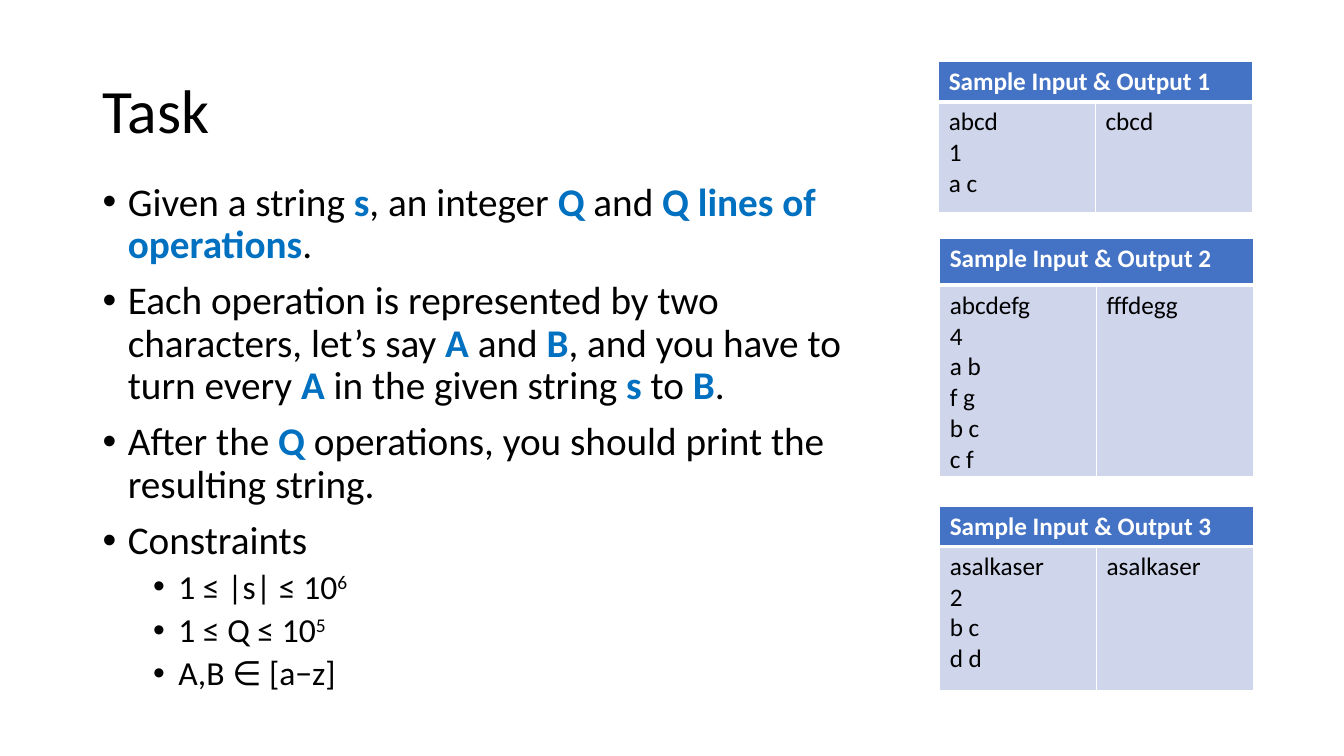
from lxml import etree
from pptx import Presentation
from pptx.dml.color import RGBColor
from pptx.enum import text
from pptx.oxml import ns
from pptx.util import Inches, Pt

FONT = "Calibri"
COLORS = {
    "ink": "000000",
    "keyword": "0070C0",
    "header": "4472C4",
    "body": "CFD5EA",
    "white": "FFFFFF",
}
STATEMENTS = [
    "Given a string *s*, an integer *Q* and *Q lines of operations*.",
    "Each operation is represented by two characters, let’s say *A* and *B*, "
    "and you have to turn every *A* in the given string *s* to *B*.",
    "After the *Q* operations, you should print the resulting string.",
    "Constraints",
]
CONSTRAINTS = ["1 ≤ |s| ≤ 10^6", "1 ≤ Q ≤ 10^5", "A,B ∈ [a−z]"]
SAMPLES = [
    (9.31, 0.61, 0.4, 1.1, "abcd\n1\na c", "cbcd"),
    (9.32, 2.37, 0.46, 1.9, "abcdefg\n4\na b\nf g\nb c\nc f", "fffdegg"),
    (9.32, 5.02, 0.4, 1.43, "asalkaser\n2\nb c\nd d", "asalkaser"),
]


def rgb(name):
    return RGBColor.from_string(COLORS[name])


def style_run(run, size, color="ink", bold=False):
    run.font.name = FONT
    run.font.size = Pt(size)
    run.font.bold = bold
    run.font.color.rgb = rgb(color)


def add_text_frame(slide, left, top, width, height):
    box = slide.shapes.add_textbox(*map(Inches, (left, top, width, height)))
    box.text_frame.word_wrap = True
    return box.text_frame


def add_title(slide, title):
    frame = add_text_frame(slide, 0.92, 0.4, 11.5, 1.45)
    frame.vertical_anchor = text.MSO_ANCHOR.MIDDLE
    frame.text = title
    frame.paragraphs[0].line_spacing = 0.9
    style_run(frame.paragraphs[0].runs[0], 44)


def set_bullet(paragraph, level):
    paragraph.level = level
    properties = paragraph._p.get_or_add_pPr()
    properties.set("marL", str(Inches(0.25 + 0.5 * level)))
    properties.set("indent", str(Inches(-0.25)))
    etree.SubElement(properties, ns.qn("a:buFont")).set("typeface", "Arial")
    etree.SubElement(properties, ns.qn("a:buChar")).set("char", "•")


def write_bullet(paragraph, content, level, size):
    paragraph.line_spacing = 0.9
    paragraph.space_before = Pt(5 if level else 10)
    set_bullet(paragraph, level)
    base, _, exponent = content.partition("^")
    for index, part in enumerate(base.split("*")):
        keyword = index % 2 == 1
        run = paragraph.add_run()
        run.text = part
        style_run(run, size, "keyword" if keyword else "ink", keyword)
    if exponent:
        run = paragraph.add_run()
        run.text = exponent
        style_run(run, size)
        run.font._element.set("baseline", "30000")


def add_task_list(slide):
    frame = add_text_frame(slide, 0.92, 1.76, 8.01, 5.62)
    items = [(content, 0, 28) for content in STATEMENTS]
    items += [(content, 1, 24) for content in CONSTRAINTS]
    for index, item in enumerate(items):
        paragraph = frame.add_paragraph() if index else frame.paragraphs[0]
        write_bullet(paragraph, *item)


def set_borders(cell, top, bottom):
    properties = cell._tc.get_or_add_tcPr()
    for side, width in (("L", 1), ("R", 1), ("T", top), ("B", bottom)):
        line = etree.SubElement(properties, ns.qn(f"a:ln{side}"), w=str(Pt(width)))
        fill = etree.SubElement(line, ns.qn("a:solidFill"))
        etree.SubElement(fill, ns.qn("a:srgbClr"), val=COLORS["white"])


def format_cell(cell, is_header):
    set_borders(cell, 1 if is_header else 3, 3 if is_header else 1)
    cell.fill.solid()
    cell.fill.fore_color.rgb = rgb("header" if is_header else "body")
    for paragraph in cell.text_frame.paragraphs:
        for run in paragraph.runs:
            style_run(run, 18, "white" if is_header else "ink", is_header)


def add_sample(slide, number, left, top, header_height, body_height, given, expected):
    height = header_height + body_height
    frame = slide.shapes.add_table(2, 2, *map(Inches, (left, top, 3.11, height)))
    table = frame.table
    table.first_row = False
    table.horz_banding = False
    table.rows[0].height = Inches(header_height)
    table.rows[1].height = Inches(body_height)
    table.cell(0, 0).merge(table.cell(0, 1))
    table.cell(0, 0).text_frame.text = f"Sample Input & Output {number}"
    table.cell(1, 0).text_frame.text = given
    table.cell(1, 1).text_frame.text = expected
    for row in range(2):
        for column in range(2):
            format_cell(table.cell(row, column), row == 0)


def main():
    presentation = Presentation()
    presentation.slide_width = Inches(13.33)
    presentation.slide_height = Inches(7.5)
    slide = presentation.slides.add_slide(presentation.slide_layouts[6])
    add_title(slide, "Task")
    add_task_list(slide)
    for number, sample in enumerate(SAMPLES, 1):
        add_sample(slide, number, *sample)
    presentation.save("out.pptx")


main()
